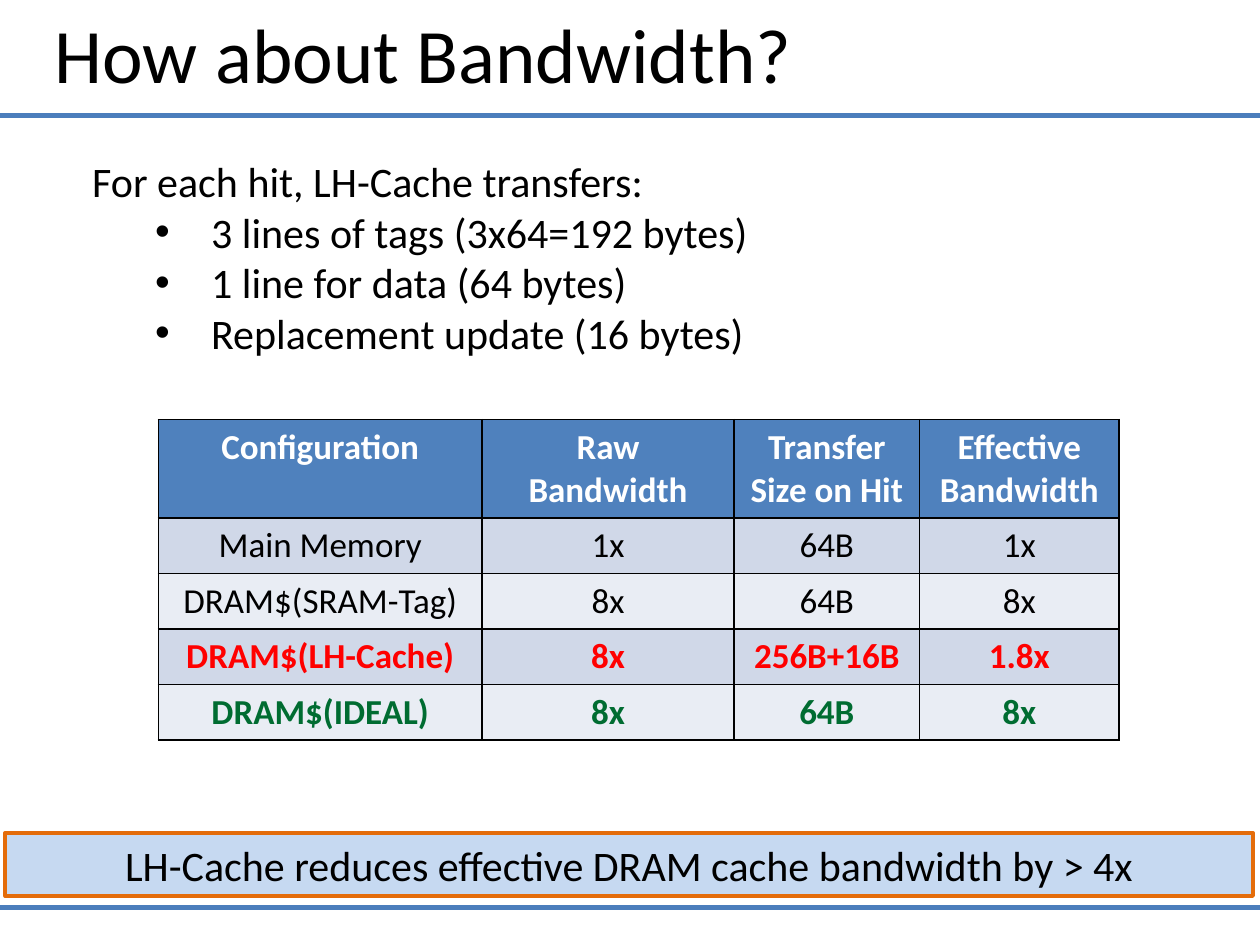
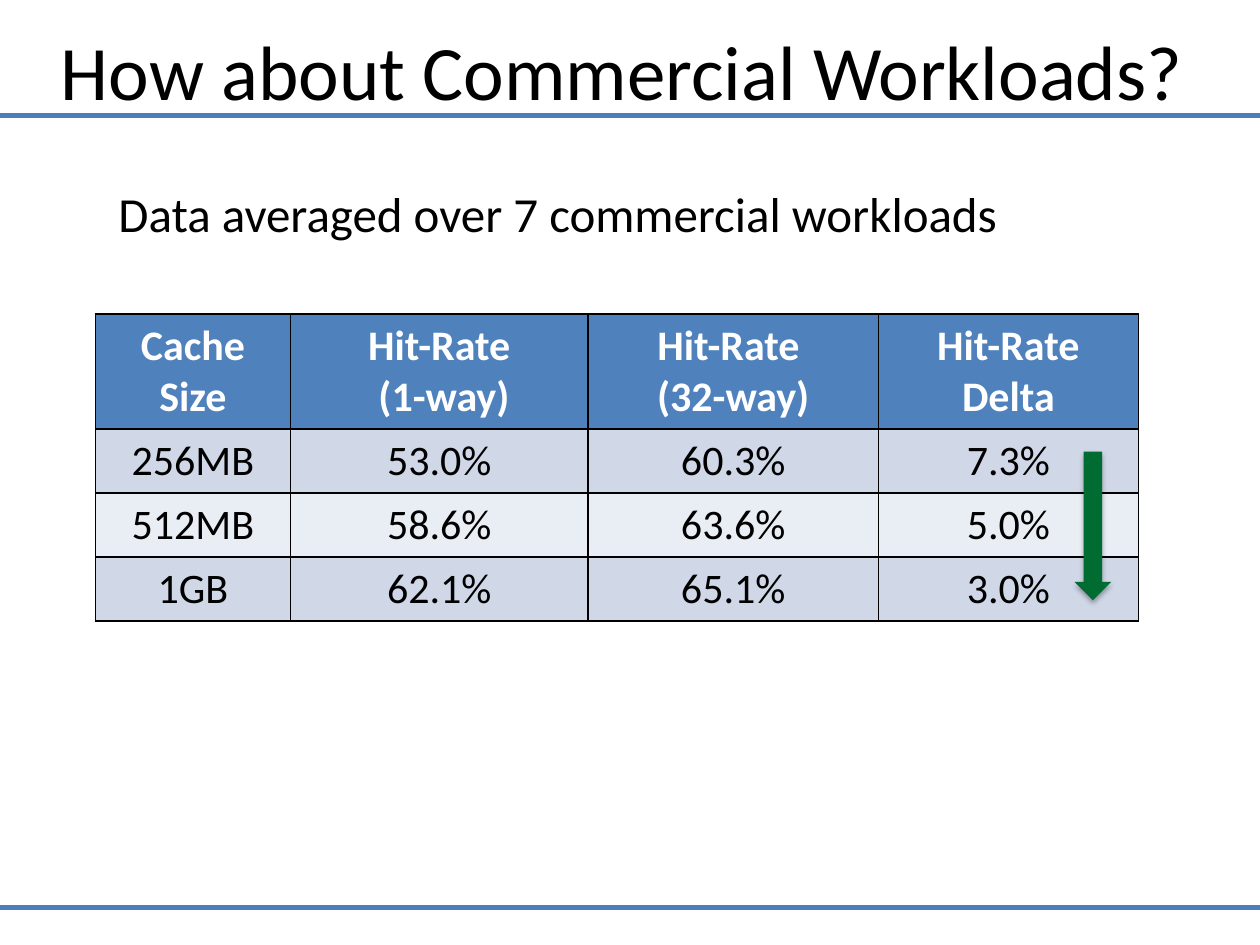
from lxml.etree import SubElement
from pptx import Presentation
from pptx.dml.color import RGBColor
from pptx.enum.shapes import MSO_CONNECTOR, MSO_SHAPE
from pptx.enum.text import MSO_ANCHOR, MSO_AUTO_SIZE, PP_ALIGN
from pptx.oxml import parse_xml
from pptx.oxml.ns import nsdecls, qn
from pptx.util import Pt

WIDTH, HEIGHT = 720, 540
FONT = "Calibri"
BLACK = RGBColor(0x00, 0x00, 0x00)
WHITE = RGBColor(0xFF, 0xFF, 0xFF)
RULE_BLUE = RGBColor(0x4B, 0x7E, 0xBC)
HEADER_BLUE = RGBColor(0x4F, 0x81, 0xBD)
BANDS = (RGBColor(0xD0, 0xD8, 0xE8), RGBColor(0xE9, 0xED, 0xF4))
CALLOUT_BLUE = RGBColor(0xC6, 0xD9, 0xF1)
ORANGE = RGBColor(0xE4, 0x6C, 0x0A)
RED = RGBColor(0xFF, 0x00, 0x00)
GREEN = RGBColor(0x00, 0x6C, 0x31)


class Deck:
    """Hold the shared style and the current slide, and add elements to it."""

    def __init__(self):
        self.presentation = Presentation()
        self.presentation.slide_width = Pt(WIDTH)
        self.presentation.slide_height = Pt(HEIGHT)
        self.slide = None

    def add_slide(self, title, left, top, width, height):
        layout = self.presentation.slide_layouts[1]
        self.slide = self.presentation.slides.add_slide(layout)
        for rule_top in (66, 518.5):
            self.add_rule(rule_top)
        self.fill_placeholder(0, (left, top, width, height), [(title, False)], 44)

    def add_rule(self, top):
        rule = self.slide.shapes.add_connector(
            MSO_CONNECTOR.STRAIGHT, Pt(0), Pt(top), Pt(WIDTH), Pt(top))
        rule.line.color.rgb = RULE_BLUE
        rule.line.width = Pt(3)
        SubElement(rule._element.spPr, qn("a:effectLst"))

    def add_run(self, paragraph, text, size, color=BLACK, bold=False):
        run = paragraph.add_run()
        run.text = text
        run.font.name = FONT
        run.font.size = Pt(size)
        run.font.color.rgb = color
        run.font.bold = bold

    def fill_placeholder(self, index, box, lines, size):
        placeholder = self.slide.placeholders[index]
        placeholder.left, placeholder.top, placeholder.width, placeholder.height = map(Pt, box)
        frame = placeholder.text_frame
        frame.word_wrap = True
        frame.auto_size = MSO_AUTO_SIZE.NONE
        frame.vertical_anchor = MSO_ANCHOR.TOP
        for number, (text, bulleted) in enumerate(lines):
            paragraph = frame.add_paragraph() if number else frame.paragraphs[0]
            paragraph.alignment = PP_ALIGN.LEFT
            paragraph.space_before = Pt(0)
            self.set_bullet(paragraph, bulleted)
            self.add_run(paragraph, text, size)

    def set_bullet(self, paragraph, bulleted):
        properties = paragraph._p.get_or_add_pPr()
        margin, indent = (68, -32) if bulleted else (0, 0)
        properties.set("marL", str(Pt(margin)))
        properties.set("indent", str(Pt(indent)))
        if bulleted:
            paragraph.level = 1
            SubElement(properties, qn("a:buFont"), typeface="Arial")
            SubElement(properties, qn("a:buChar"), char="•")
        else:
            SubElement(properties, qn("a:buNone"))

    def add_body(self, box, lines, size):
        self.fill_placeholder(1, box, lines, size)

    def add_table(self, left, top, columns, header_height, row_height, rows, size, accents=None):
        accents = accents or {}
        heights = [header_height] + [row_height] * (len(rows) - 1)
        table = self.slide.shapes.add_table(
            len(rows), len(columns), Pt(left), Pt(top),
            Pt(sum(columns)), Pt(sum(heights))).table
        table.first_row = table.horz_banding = False
        for column, width in zip(table.columns, columns):
            column.width = Pt(width)
        for number, (row, height, texts) in enumerate(zip(table.rows, heights, rows)):
            row.height = Pt(height)
            fill = BANDS[(number - 1) % 2] if number else HEADER_BLUE
            color = accents.get(number, BLACK) if number else WHITE
            bold = number == 0 or number in accents
            for cell, text in zip(row.cells, texts):
                self.style_cell(cell, text, fill, size, color, bold)

    def style_cell(self, cell, text, fill, size, color, bold):
        properties = cell._tc.get_or_add_tcPr()
        for side in ("lnL", "lnR", "lnT", "lnB"):
            properties.append(parse_xml(
                f'<a:{side} {nsdecls("a")} w="{Pt(1)}"><a:solidFill>'
                f'<a:srgbClr val="{BLACK}"/></a:solidFill></a:{side}>'))
        cell.fill.solid()
        cell.fill.fore_color.rgb = fill
        frame = cell.text_frame
        for number, line in enumerate(text.split("\n")):
            paragraph = frame.add_paragraph() if number else frame.paragraphs[0]
            paragraph.alignment = PP_ALIGN.CENTER
            self.add_run(paragraph, line, size, color, bold)

    def add_shape(self, kind, box, fill):
        shape = self.slide.shapes.add_shape(kind, *map(Pt, box))
        shape.shadow.inherit = False
        shape.fill.solid()
        shape.fill.fore_color.rgb = fill
        shape.line.fill.background()
        return shape

    def add_callout(self, text):
        callout = self.add_shape(MSO_SHAPE.RECTANGLE, (3, 476, 713, 36), CALLOUT_BLUE)
        callout.line.color.rgb = ORANGE
        callout.line.width = Pt(2.25)
        frame = callout.text_frame
        frame.word_wrap = True
        frame.vertical_anchor = MSO_ANCHOR.MIDDLE
        paragraph = frame.paragraphs[0]
        paragraph.alignment = PP_ALIGN.CENTER
        self.add_run(paragraph, text, 24)

    def add_down_arrow(self, box):
        arrow = self.add_shape(MSO_SHAPE.DOWN_ARROW, box, GREEN)
        effects = arrow._element.spPr.find(qn("a:effectLst"))
        effects.append(parse_xml(
            f'<a:outerShdw {nsdecls("a")} blurRad="{Pt(3.1)}" dist="{Pt(1.8)}" '
            f'dir="5400000" rotWithShape="0"><a:srgbClr val="{BLACK}">'
            '<a:alpha val="35000"/></a:srgbClr></a:outerShdw>'))

    def save(self):
        self.presentation.save("out.pptx")


def main():
    deck = Deck()

    deck.add_slide("How about Bandwidth?", 24, 0, 696, 69)
    deck.add_callout("LH-Cache reduces effective DRAM cache bandwidth by > 4x")
    deck.add_table(90.5, 239.75, (185, 144, 106, 114), 55.5, 31.25, (
        ("Configuration", "Raw Bandwidth", "Transfer\nSize on Hit ", "Effective\nBandwidth"),
        ("Main Memory", "1x", "64B", "1x"),
        ("DRAM$(SRAM-Tag)", "8x", "64B", "8x"),
        ("DRAM$(LH-Cache)", "8x", "256B+16B", "1.8x"),
        ("DRAM$(IDEAL)", "8x", "64B", "8x"),
    ), 20, {3: RED, 4: GREEN})
    deck.add_body((45.5, 85.5, 396, 124), (
        ("For each hit, LH-Cache transfers:", False),
        ("3 lines of tags (3x64=192 bytes)", True),
        ("1 line for data (64 bytes)", True),
        ("Replacement update (16 bytes)", True),
    ), 24)

    deck.add_slide("How about Commercial Workloads?", 27.5, 10, 664.5, 60.5)
    deck.add_table(54.5, 179.5, (111.5, 170, 166, 148.5), 64.5, 36, (
        ("Cache Size", "Hit-Rate\n (1-way)", "Hit-Rate \n(32-way)", "Hit-Rate\nDelta"),
        ("256MB", "53.0%", "60.3%", "7.3%"),
        ("512MB", "58.6%", "63.6%", "5.0%"),
        ("1GB", "62.1%", "65.1%", "3.0%"),
    ), 24)
    deck.add_body((60.5, 101, 528.5, 41),
                  [("Data averaged over 7 commercial workloads", False)], 28)
    deck.add_down_arrow((614, 258, 21, 85))

    deck.save()


if __name__ == "__main__":
    main()
